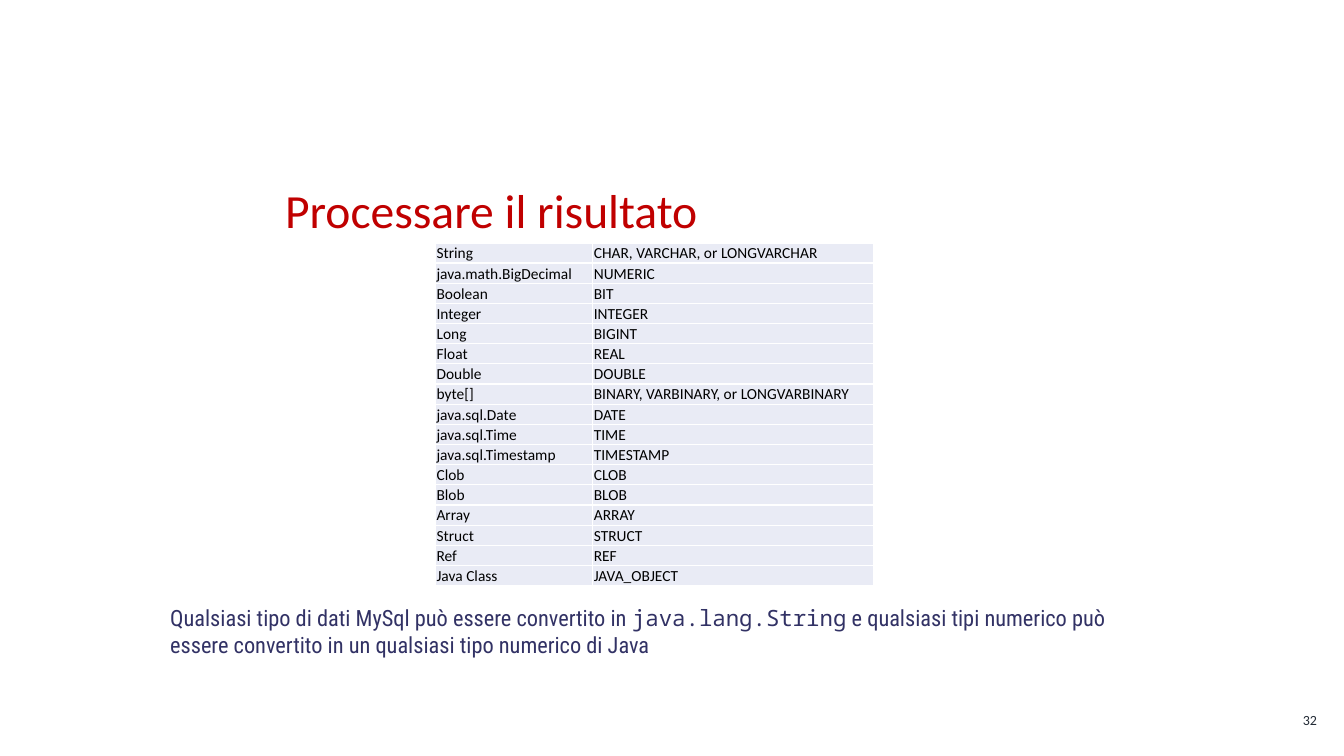
from lxml.etree import SubElement
from pptx import Presentation
from pptx.dml.color import RGBColor
from pptx.enum.text import MSO_ANCHOR as Anchor, PP_ALIGN as Align
from pptx.oxml.ns import qn
from pptx.util import Inches, Pt

RED = RGBColor(0xC0, 0x00, 0x00)
SLATE = RGBColor(0x22, 0x2A, 0x35)
INDIGO = RGBColor(0x32, 0x32, 0x65)
BLACK = RGBColor(0x00, 0x00, 0x00)
WHITE = RGBColor(0xFF, 0xFF, 0xFF)
PALE_BLUE = RGBColor(0xE9, 0xEB, 0xF5)

TYPE_MAPPING = [
    ("String", "CHAR, VARCHAR, or LONGVARCHAR"),
    ("java.math.BigDecimal", "NUMERIC"),
    ("Boolean", "BIT"),
    ("Integer", "INTEGER"),
    ("Long", "BIGINT"),
    ("Float", "REAL"),
    ("Double", "DOUBLE"),
    ("byte[]", "BINARY, VARBINARY, or LONGVARBINARY"),
    ("java.sql.Date", "DATE"),
    ("java.sql.Time", "TIME"),
    ("java.sql.Timestamp", "TIMESTAMP"),
    ("Clob", "CLOB"),
    ("Blob", "BLOB"),
    ("Array", "ARRAY"),
    ("Struct", "STRUCT"),
    ("Ref", "REF"),
    ("Java Class", "JAVA_OBJECT"),
]


def add_text(paragraph, text, size=11, color=BLACK, font="Calibri"):
    run = paragraph.add_run()
    run.text = text
    run.font.size = Pt(size)
    run.font.name = font
    run.font.color.rgb = color


def set_borders(cell, color, width):
    properties = cell._tc.get_or_add_tcPr()
    for side in ("lnL", "lnR", "lnT", "lnB"):
        line = SubElement(properties, qn(f"a:{side}"), w=str(Pt(width)))
        fill = SubElement(line, qn("a:solidFill"))
        SubElement(fill, qn("a:srgbClr"), val=str(color))


class SlideBuilder:
    def __init__(self, slide):
        self.slide = slide
        slide.background.fill.solid()
        slide.background.fill.fore_color.rgb = WHITE

    def text_box(self, left, top, width, height, parts, anchor=Anchor.TOP,
                 align=Align.LEFT, top_margin=0.05):
        """Add one paragraph made of (text, format) parts."""
        shape = self.slide.shapes.add_textbox(
            Inches(left), Inches(top), Inches(width), Inches(height))
        frame = shape.text_frame
        frame.word_wrap = True
        frame.vertical_anchor = anchor
        frame.margin_top = Inches(top_margin)
        paragraph = frame.paragraphs[0]
        paragraph.alignment = align
        for text, style in parts:
            add_text(paragraph, text, **style)

    def table(self, left, top, column_widths, row_height, rows):
        shape = self.slide.shapes.add_table(
            len(rows), len(column_widths), Inches(left), Inches(top),
            Inches(sum(column_widths)), Inches(row_height * len(rows)))
        table = shape.table
        table.first_row = table.horz_banding = False
        for column, width in zip(table.columns, column_widths):
            column.width = Inches(width)
        for row, texts in zip(table.rows, rows):
            row.height = Inches(row_height)
            for cell, text in zip(row.cells, texts):
                self.table_cell(cell, text)

    def table_cell(self, cell, text):
        set_borders(cell, WHITE, 1)
        cell.fill.solid()
        cell.fill.fore_color.rgb = PALE_BLUE
        cell.margin_left = cell.margin_right = cell.margin_top = Inches(0.01)
        cell.margin_bottom = 0
        cell.vertical_anchor = Anchor.BOTTOM
        add_text(cell.text_frame.paragraphs[0], text)


def main():
    presentation = Presentation()
    presentation.slide_width = Inches(13.33)
    presentation.slide_height = Inches(7.5)
    builder = SlideBuilder(
        presentation.slides.add_slide(presentation.slide_layouts[6]))

    builder.text_box(2.73, 0.44, 7.5, 1.97,
                     [("Processare il risultato", dict(size=34, color=RED))],
                     anchor=Anchor.BOTTOM)
    builder.text_box(9.42, 6.95, 3.74, 0.39,
                     [("32", dict(size=10, color=SLATE))],
                     anchor=Anchor.MIDDLE, align=Align.RIGHT)
    builder.table(4.32, 2.41, (1.56, 2.78), 0.2, TYPE_MAPPING)

    note = dict(size=16, color=INDIGO, font="Roboto Condensed")
    code = dict(note, font="Noto Sans Mono")
    builder.text_box(1.59, 5.74, 9.56, 0.84, [
        ("Qualsiasi tipo di dati MySql può essere convertito in ", note),
        ("java.lang.String", code),
        (" e qualsiasi tipi numerico può essere convertito in un "
         "qualsiasi tipo numerico di Java", note),
    ], top_margin=0.25)

    presentation.save("out.pptx")


if __name__ == "__main__":
    main()
